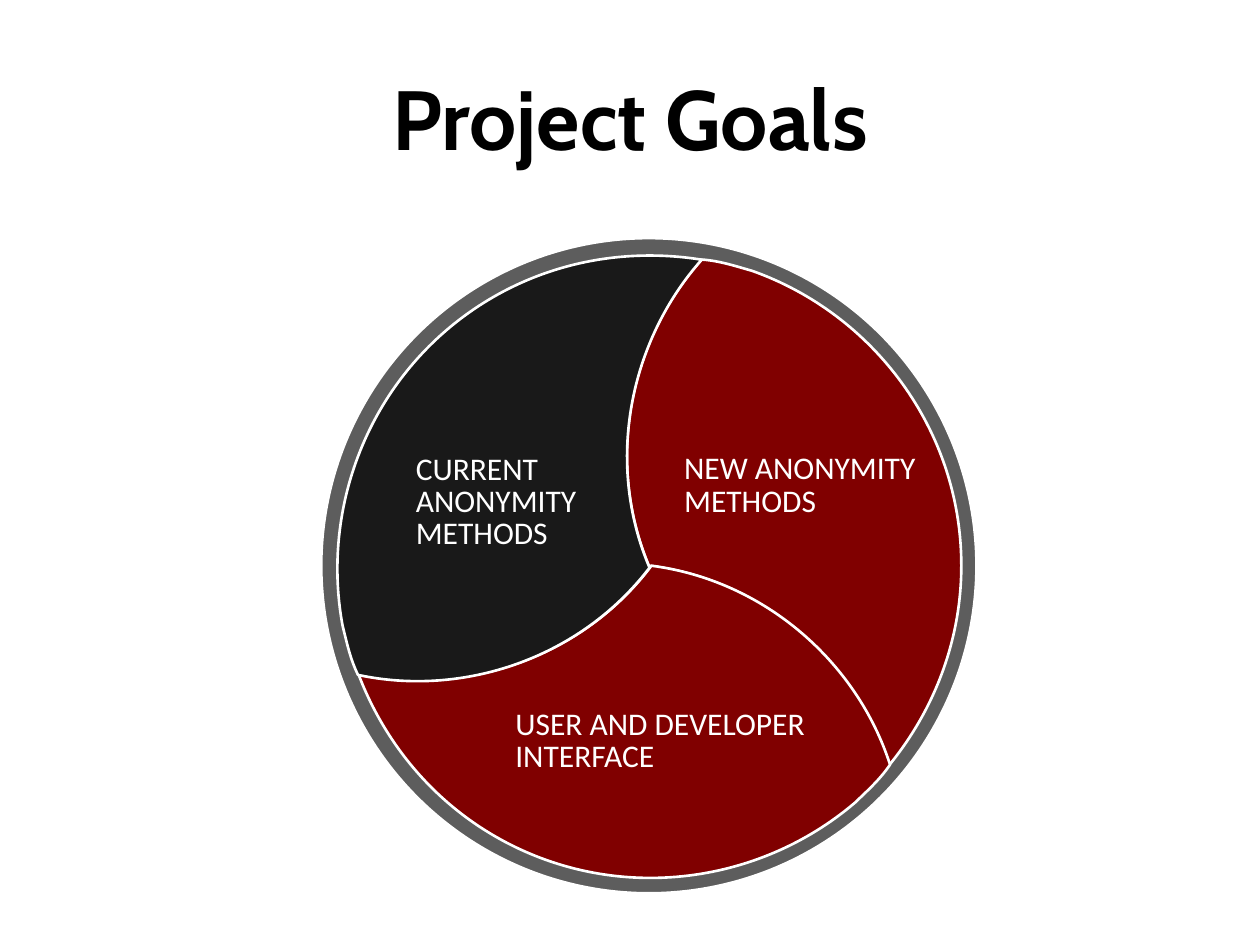
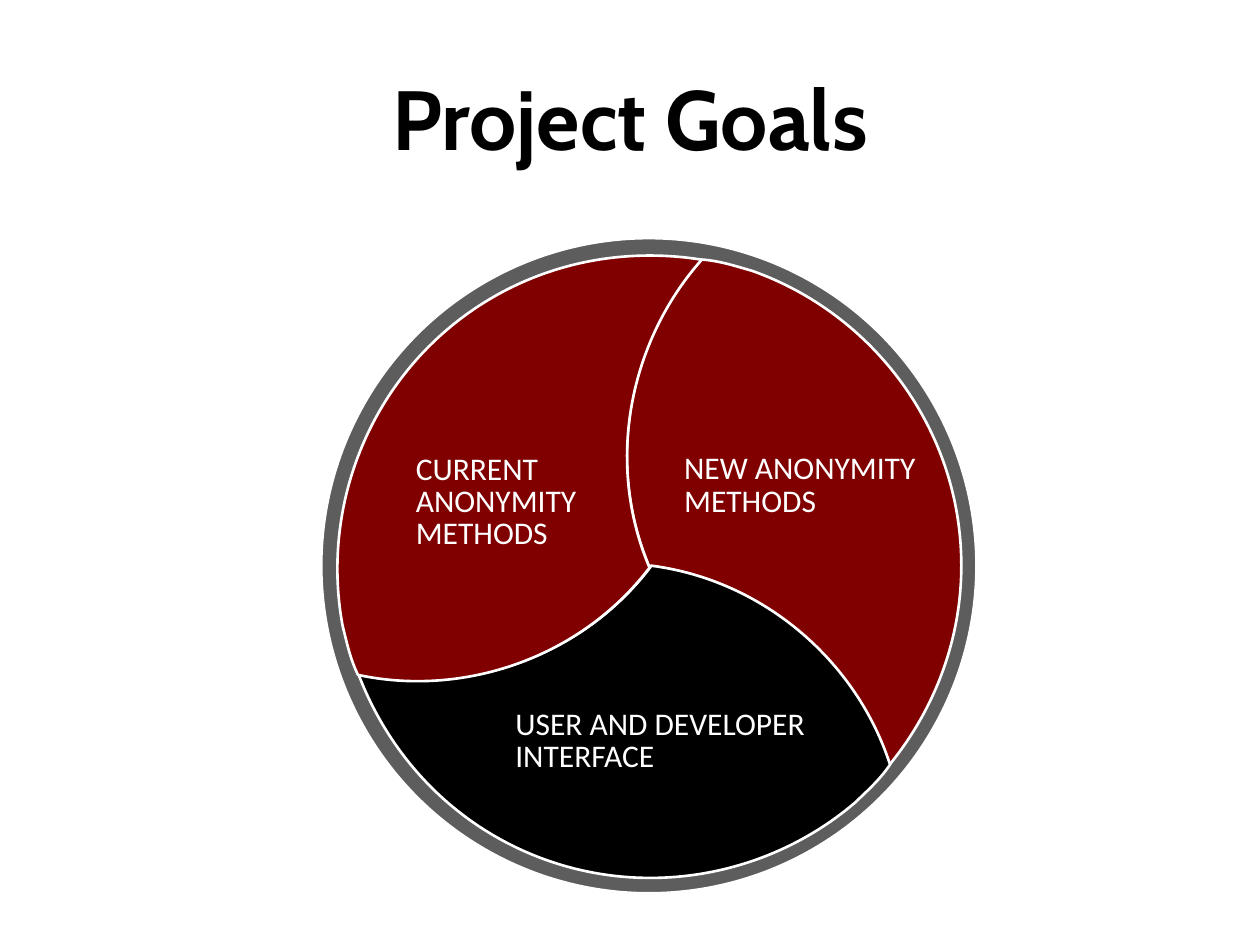
from lxml.etree import SubElement
from pptx import Presentation
from pptx.dml.color import RGBColor
from pptx.enum.shapes import MSO_SHAPE
from pptx.enum.text import MSO_ANCHOR, PP_ALIGN
from pptx.oxml.ns import qn
from pptx.util import Inches, Pt

COLORS = {
    "black": "000000",
    "charcoal": "191919",
    "maroon": "800000",
    "white": "FFFFFF",
}
RING = (2.55, 1.89, 5.2, 5.2)
BLADE_START = (7.06, 6.07)
BLADE_CURVES = [
    ((6.79, 5.26), (6.06, 4.6), (5.15, 4.49)),
    ((4.8, 3.65), (5, 2.69), (5.57, 2.06)),
    ((5.71, 2.07), (5.83, 2.11), (5.97, 2.15)),
    ((6.93, 2.49), (7.63, 3.41), (7.63, 4.49)),
    ((7.63, 5.09), (7.41, 5.64), (7.06, 6.07)),
]
BLADE_CORNERS = [(4.8, 2.06), (3.59, 3.62), (2.84, 1.79)]
GOALS = [
    ("CURRENT ANONYMITY METHODS", (3, 3.55, 1.88, 0.88), 0.3),
    ("NEW ANONYMITY METHODS", (5.25, 3.55, 2.2, 0.62), 0.18),
    ("USER AND DEVELOPER INTERFACE", (3.89, 5.58, 2.71, 0.62), 0.2),
]
SLIDE_BLADES = [
    ("maroon", "maroon", "charcoal"),
    ("maroon", "black", "maroon"),
]


def rgb(name):
    return RGBColor.from_string(COLORS[name])


def add_text(slide, text, box, *, size, font, color, bold=False,
             align=PP_ALIGN.LEFT, spacing=1.0, inset=0.1):
    frame = slide.shapes.add_textbox(*map(Inches, box)).text_frame
    frame.word_wrap = True
    frame.vertical_anchor = MSO_ANCHOR.MIDDLE
    frame.margin_left = Inches(inset)
    paragraph = frame.paragraphs[0]
    paragraph.alignment = align
    paragraph.line_spacing = spacing
    run = paragraph.add_run()
    run.text = text
    run.font.size = Pt(size)
    run.font.name = font
    run.font.bold = bold
    run.font.color.rgb = rgb(color)


def paint(shape, color, opacity=100):
    shape.shadow.inherit = False
    shape.fill.solid()
    shape.fill.fore_color.rgb = rgb(color)
    shape.line.color.rgb = rgb("white")
    shape.line.width = Pt(1.5)
    if opacity < 100:
        hue = shape.fill._xPr.find(qn("a:solidFill"))[0]
        SubElement(hue, qn("a:alpha")).set("val", str(opacity * 1000))


def bend_segments(shape):
    outline = next(shape._element.iter(qn("a:path")))
    segments = outline.findall(qn("a:lnTo"))
    for first in range(0, len(segments), 3):
        curve = SubElement(outline, qn("a:cubicBezTo"))
        segments[first].addprevious(curve)
        for segment in segments[first:first + 3]:
            curve.append(segment[0])
            outline.remove(segment)


def add_blade(slide, corner, turn, color):
    points = [tuple(map(Inches, point)) for curve in BLADE_CURVES for point in curve]
    builder = slide.shapes.build_freeform(*map(Inches, BLADE_START))
    builder.add_line_segments(points, close=True)
    blade = builder.convert_to_shape()
    bend_segments(blade)
    blade.left, blade.top = map(Inches, corner)
    blade.rotation = turn
    paint(blade, color)


def add_ring(slide):
    ring = slide.shapes.add_shape(MSO_SHAPE.OVAL, *map(Inches, RING))
    paint(ring, "charcoal", opacity=70)


def add_goals_slide(deck, blade_colors):
    slide = deck.slides.add_slide(deck.slide_layouts[6])
    add_text(slide, "Project Goals", (0.5, 0.3, 9, 1.25), size=48, font="Cabin",
             color="black", bold=True, align=PP_ALIGN.CENTER)
    add_ring(slide)
    for index, (corner, color) in enumerate(zip(BLADE_CORNERS, blade_colors)):
        add_blade(slide, corner, 120 * index, color)
    for goal, box, inset in GOALS:
        add_text(slide, goal, box, size=18, font="Calibri", color="white",
                 spacing=0.85, inset=inset)


def main():
    deck = Presentation()
    deck.slide_width = Inches(10)
    deck.slide_height = Inches(7.5)
    for blade_colors in SLIDE_BLADES:
        add_goals_slide(deck, blade_colors)
    deck.save("out.pptx")


if __name__ == "__main__":
    main()
